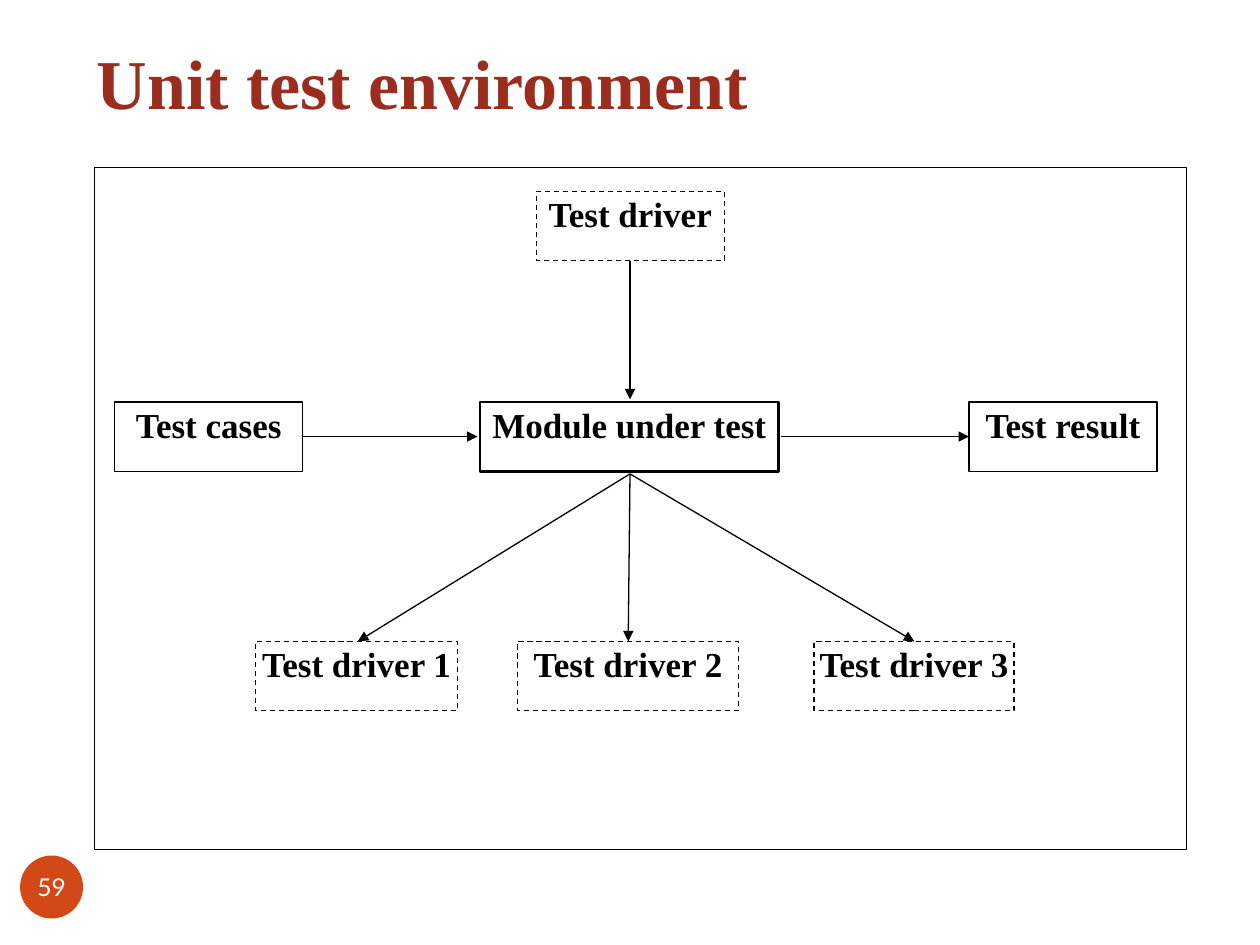
from lxml.etree import SubElement
from pptx import Presentation
from pptx.dml.color import RGBColor
from pptx.enum.dml import MSO_LINE
from pptx.enum.shapes import MSO_CONNECTOR, MSO_SHAPE
from pptx.enum.text import MSO_ANCHOR, PP_ALIGN
from pptx.oxml.ns import qn
from pptx.util import Pt

BLACK = RGBColor(0x00, 0x00, 0x00)
WHITE = RGBColor(0xFF, 0xFF, 0xFF)
RUST = RGBColor(0x9B, 0x2D, 0x1F)
ORANGE = RGBColor(0xD3, 0x48, 0x17)
SERIF = "Times New Roman"

HIGH = 39.6      # height of every box
MID = 229.7      # top of the middle row
LOW = 366.5      # top of the bottom row
AXIS = 360       # centre line of the module
GAP = 1.5        # space between the module and its arrows


def write(shape, text, size, color, font=SERIF, bold=True,
          align=PP_ALIGN.CENTER, anchor=MSO_ANCHOR.TOP,
          inset=(1.5, 0.75, 1.5, 0.75), wrap=True):
    frame = shape.text_frame
    frame.word_wrap = wrap
    frame.vertical_anchor = anchor
    (frame.margin_left, frame.margin_top,
     frame.margin_right, frame.margin_bottom) = map(Pt, inset)
    para = frame.paragraphs[0]
    para.alignment = align
    run = para.add_run()
    run.text = text
    run.font.name = font
    run.font.size = Pt(size)
    run.font.bold = bold
    run.font.color.rgb = color


def add_form(slide, kind, area, fill=None, line=None, dash=False):
    shape = slide.shapes.add_shape(kind, *map(Pt, area))
    shape.shadow.inherit = False
    if fill is None:
        shape.fill.background()
    else:
        shape.fill.solid()
        shape.fill.fore_color.rgb = fill
    if line is None:
        shape.line.fill.background()
    else:
        shape.line.color.rgb = BLACK
        shape.line.width = Pt(line)
        if dash:
            shape.line.dash_style = MSO_LINE.DASH
    return shape


def add_box(slide, text, left, top, width, line=0.75, dash=False):
    box = add_form(slide, MSO_SHAPE.RECTANGLE, (left, top, width, HIGH),
                   WHITE, line, dash)
    write(box, text, 20, BLACK)


def add_arrow(slide, start, end):
    arrow = slide.shapes.add_connector(
        MSO_CONNECTOR.STRAIGHT, *map(Pt, start + end))
    arrow.line.color.rgb = BLACK
    arrow.line.width = Pt(0.75)
    props = arrow.element.spPr
    SubElement(props.find(qn("a:ln")), qn("a:tailEnd"), type="triangle")
    SubElement(props, qn("a:effectLst"))


def add_title(slide, text):
    title = slide.shapes.add_textbox(Pt(48.2), Pt(5.8), Pt(581.8), Pt(72))
    write(title, text, 40, RUST, align=PP_ALIGN.LEFT,
          anchor=MSO_ANCHOR.BOTTOM, inset=(7.2, 3.6, 7.2, 7.2))


def add_badge(slide, text):
    badge = add_form(slide, MSO_SHAPE.OVAL, (11.5, 488.9, 36, 36), ORANGE)
    write(badge, text, 14, WHITE, font="Lato", bold=False,
          anchor=MSO_ANCHOR.MIDDLE, inset=(0, 0, 0, 0), wrap=False)


def main():
    deck = Presentation()
    deck.slide_width, deck.slide_height = Pt(720), Pt(540)
    slide = deck.slides.add_slide(deck.slide_layouts[6])

    # Title, page number and frame
    add_title(slide, "Unit test environment")
    add_badge(slide, "59")
    add_form(slide, MSO_SHAPE.RECTANGLE, (54, 95.9, 624.2, 389.6), line=0.75)

    # Driver on top, module and its input and output in the middle
    add_box(slide, "Test driver", 306.5, 109.4, 107.5, dash=True)
    add_box(slide, "Test cases", 65.6, MID, 107.5)
    add_box(slide, "Module under test", 274.4, MID, 170.6, line=1.5)
    add_box(slide, "Test result", 553.7, MID, 107.5)

    # Arrows into and out of the module
    level = MID + HIGH / 2
    add_arrow(slide, (AXIS, 149), (AXIS, MID - GAP))
    add_arrow(slide, (173.1, level), (274.4 - GAP, level))
    add_arrow(slide, (445 + GAP, level), (553.7, level))

    # Bottom row, each box with an arrow from the module
    row = [(146.2, 115.3, 204.5), (295.8, 126.3, 359), (465.2, 114.2, 522.5)]
    for num, (left, width, tip) in enumerate(row, 1):
        add_box(slide, f"Test driver {num}", left, LOW, width, dash=True)
        add_arrow(slide, (AXIS, MID + HIGH + GAP), (tip, LOW))

    deck.save("out.pptx")


main()
